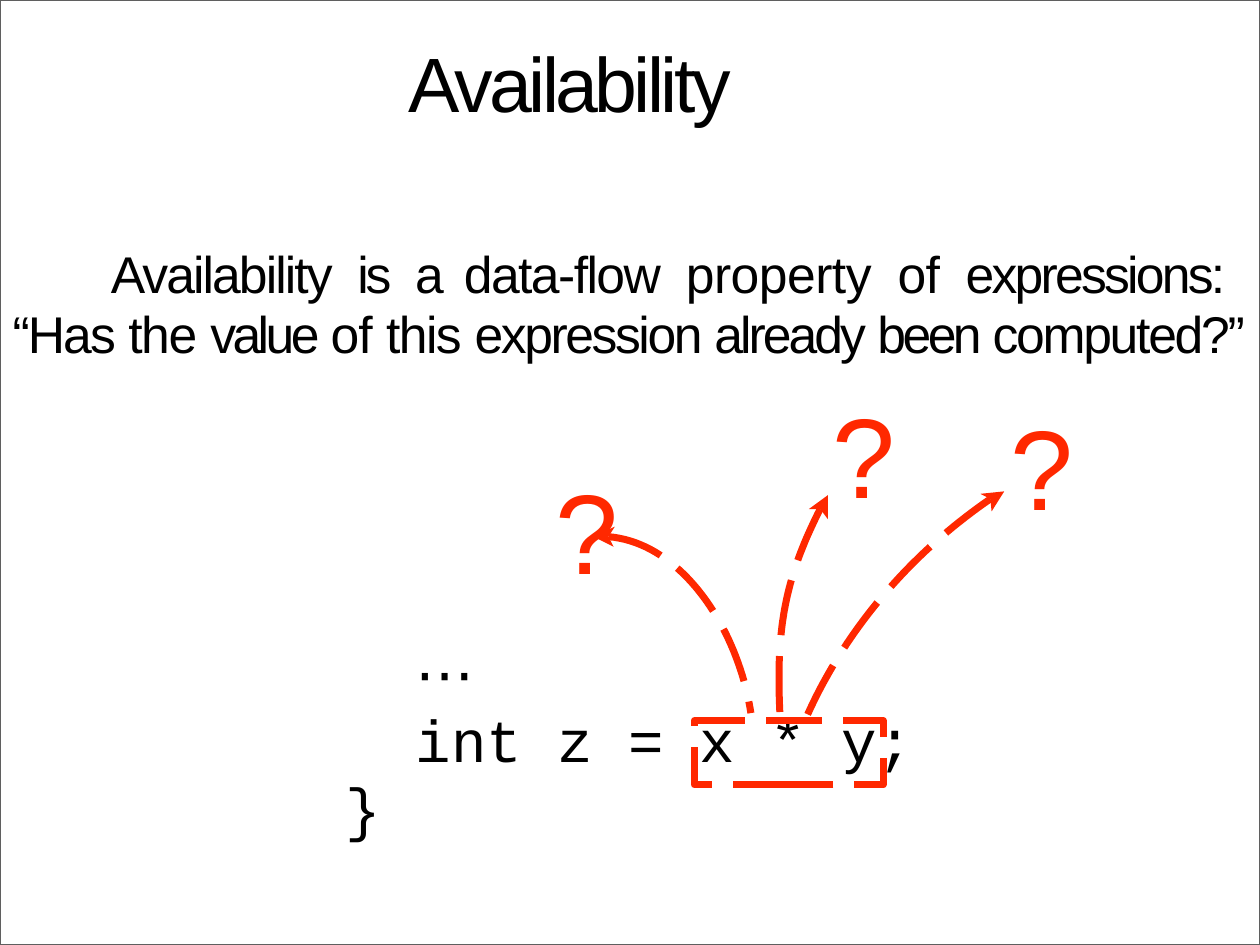
"""Build the slide that explains availability of expressions."""
from dataclasses import dataclass

from pptx import Presentation
from pptx.dml.color import RGBColor
from pptx.enum.dml import MSO_LINE
from pptx.enum.shapes import MSO_SHAPE
from pptx.enum.text import MSO_ANCHOR, MSO_AUTO_SIZE, PP_ALIGN
from pptx.util import Inches, Pt

LEFT, JUST = PP_ALIGN.LEFT, PP_ALIGN.JUSTIFY
TOP = MSO_ANCHOR.TOP
FIXED = MSO_AUTO_SIZE.NONE
DASH = MSO_LINE.LONG_DASH
RECT = MSO_SHAPE.RECTANGLE
COLORS = {"ink": "000000", "mark": "FF2800", "frame": "5F5F5F"}
STEPS = 40

Point = tuple[float, float]


@dataclass
class Style:
    font: str
    size: float
    color: str = "ink"
    before: float = 0
    line: float | None = None
    margin: float = 0.01
    indent: float = 0
    align: int = LEFT


@dataclass
class Arrow:
    curve: list[Point]
    head: list[Point]


TITLE = Style("Arial", 44, before=0.7)
BODY = Style("Arial", 29.5, before=2.7, line=34.5, indent=0.78, align=JUST)
QUERY = Style("Arial", 64.7, "mark", before=0.7)
WORDS = [
    ("Availability ", -1.1), ("is ", -1.8), ("a ", -3.8), ("data-flow ", -0.9),
    ("property ", -0.3), ("of ", -0.5), ("expressions:  ", -1.6),
    ("“Has ", -1.1), ("the ", -0.8), ("value ", -2), ("of ", -0.5),
    ("this ", -0.9), ("expression ", -1.4), ("already ", -1.7),
    ("been ", -2), ("computed?”", -1.3),
]
CODE = [
    ("⋯", Style("DejaVu Sans", 33.8, before=0.7, line=39.2, margin=0.57)),
    ("int z = x * y;", Style("Courier New", 33.8, line=38, margin=0.57)),
    ("}", Style("Courier New", 33.8, line=39.2)),
]
ARROWS = [
    Arrow([(7.86, 3.96), (7.18, 4.43), (6.7, 5.03), (6.41, 5.67)],
          [(7.97, 3.9), (7.78, 3.92), (7.86, 3.96), (7.87, 4.06)]),
    Arrow([(4.83, 4.26), (5.42, 4.31), (5.86, 5), (5.96, 5.66)],
          [(4.88, 4.18), (4.71, 4.26), (4.87, 4.34), (4.83, 4.26)]),
    Arrow([(6.51, 4.04), (6.22, 4.61), (6.16, 5.01), (6.19, 5.66)],
          [(6.57, 3.93), (6.42, 4.04), (6.51, 4.04), (6.57, 4.12)]),
]
MARKS = [(4.4, 3.65), (8.01, 3.14), (6.6, 3.05)]


def tint(name: str) -> RGBColor:
    """Return the named colour."""
    return RGBColor.from_string(COLORS[name])


def place(shape, left: float, top: float, width: float, height: float,
          inset: float = 0.01):
    """Move a text shape, set its frame and return the frame."""
    shape.left, shape.top = Inches(left), Inches(top)
    shape.width, shape.height = Inches(width), Inches(height)
    frame = shape.text_frame
    frame.word_wrap, frame.auto_size = True, FIXED
    frame.vertical_anchor = TOP
    frame.margin_left = frame.margin_right = frame.margin_bottom = 0
    frame.margin_top = Inches(inset)
    return frame


def write(para, runs: list[tuple[str, float]], style: Style) -> None:
    """Fill a paragraph with runs of text and letter spacing."""
    para.alignment = style.align
    para.space_before = Pt(style.before)
    if style.line:
        para.line_spacing = Pt(style.line)
    font = para.font
    font.name, font.size = style.font, Pt(style.size)
    font.color.rgb = tint(style.color)
    props = para._p.get_or_add_pPr()
    props.set("marL", str(Inches(style.margin)))
    props.set("indent", str(Inches(style.indent)))
    for text, space in runs:
        run = para.add_run()
        run.text = text
        if space:
            run._r.get_or_add_rPr().set("spc", str(round(space * 100)))


def bezier(curve: list[Point]) -> list[Point]:
    """Return points along a cubic curve."""
    points = []
    for step in range(STEPS + 1):
        t = step / STEPS
        parts = ((1 - t) ** 3, 3 * t * (1 - t) ** 2, 3 * t * t * (1 - t), t ** 3)
        points.append((sum(p * x for p, (x, _) in zip(parts, curve)),
                       sum(p * y for p, (_, y) in zip(parts, curve))))
    return points


def trace(shapes, points: list[Point], close: bool):
    """Draw an outline through points given in inches."""
    spots = [(Inches(x), Inches(y)) for x, y in points]
    form = shapes.build_freeform(*spots[0])
    form.add_line_segments(spots[1:], close=close)
    shape = form.convert_to_shape()
    shape.shadow.inherit = False
    return shape


def stroke(shape, color: str, width: float, dash=None) -> None:
    """Give a shape a line and no fill."""
    shape.shadow.inherit = False
    shape.fill.background()
    shape.line.color.rgb = tint(color)
    shape.line.width = Pt(width)
    if dash:
        shape.line.dash_style = dash


def point(shapes, arrow: Arrow) -> None:
    """Draw a dashed curve and its solid head."""
    stroke(trace(shapes, bezier(arrow.curve), False), "mark", 4, DASH)
    head = trace(shapes, arrow.head, True)
    head.fill.solid()
    head.fill.fore_color.rgb = tint("mark")
    head.line.fill.background()


def box(shapes, left: float, top: float, width: float, height: float):
    """Add a rectangle measured in inches."""
    return shapes.add_shape(RECT, Inches(left), Inches(top),
                            Inches(width), Inches(height))


def main() -> None:
    """Build and save the slide."""
    deck = Presentation()
    deck.slide_width, deck.slide_height = Inches(10), Inches(7.5)
    slide = deck.slides.add_slide(deck.slide_layouts[1])
    shapes = slide.shapes

    title = place(shapes.title, 3.23, 0.27, 3.55, 0.75)
    write(title.paragraphs[0], [("Availability", -2.1)], TITLE)

    body = place(slide.placeholders[1], 0.09, 1.89, 9.8, 0.99, 0.04)
    para = body.paragraphs[0]
    write(para, WORDS, BODY)
    props = para._p.get_or_add_pPr()
    bullet = props.makeelement(
        "{http://schemas.openxmlformats.org/drawingml/2006/main}buNone", {})
    props.insert_element_before(bullet, "a:tabLst", "a:defRPr", "a:extLst")

    code = place(shapes.add_textbox(0, 0, 0, 0), 2.73, 5.06, 4.52, 1.64)
    for row, (text, style) in enumerate(CODE):
        para = code.add_paragraph() if row else code.paragraphs[0]
        write(para, [(text, 0)], style)

    for arrow in ARROWS:
        point(shapes, arrow)
    for left, top in MARKS:
        mark = place(shapes.add_textbox(0, 0, 0, 0), left, top, 0.32, 1.1)
        write(mark.paragraphs[0], [("?", -14.4)], QUERY)

    stroke(box(shapes, 5.51, 5.72, 1.5, 0.51), "mark", 4, DASH)
    stroke(box(shapes, 0, 0, 10, 7.5), "frame", 1)
    deck.save("out.pptx")


if __name__ == "__main__":
    main()
